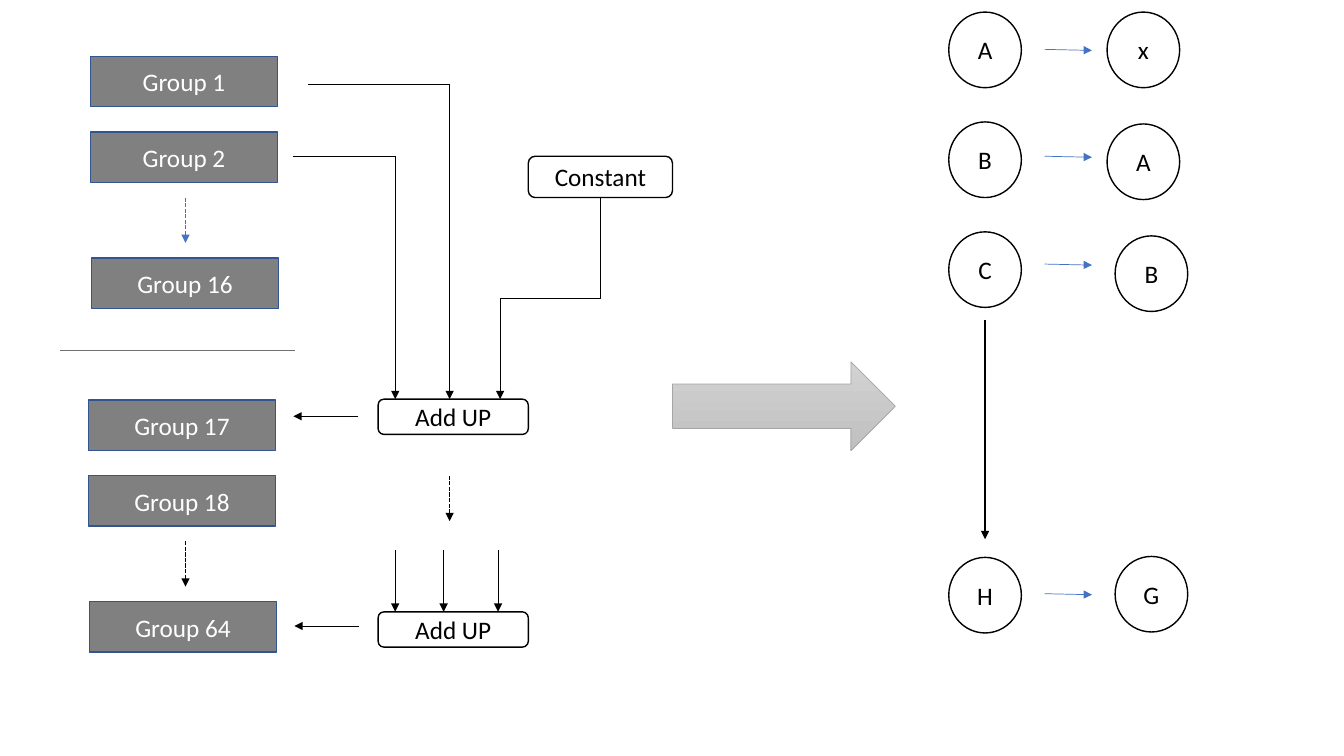
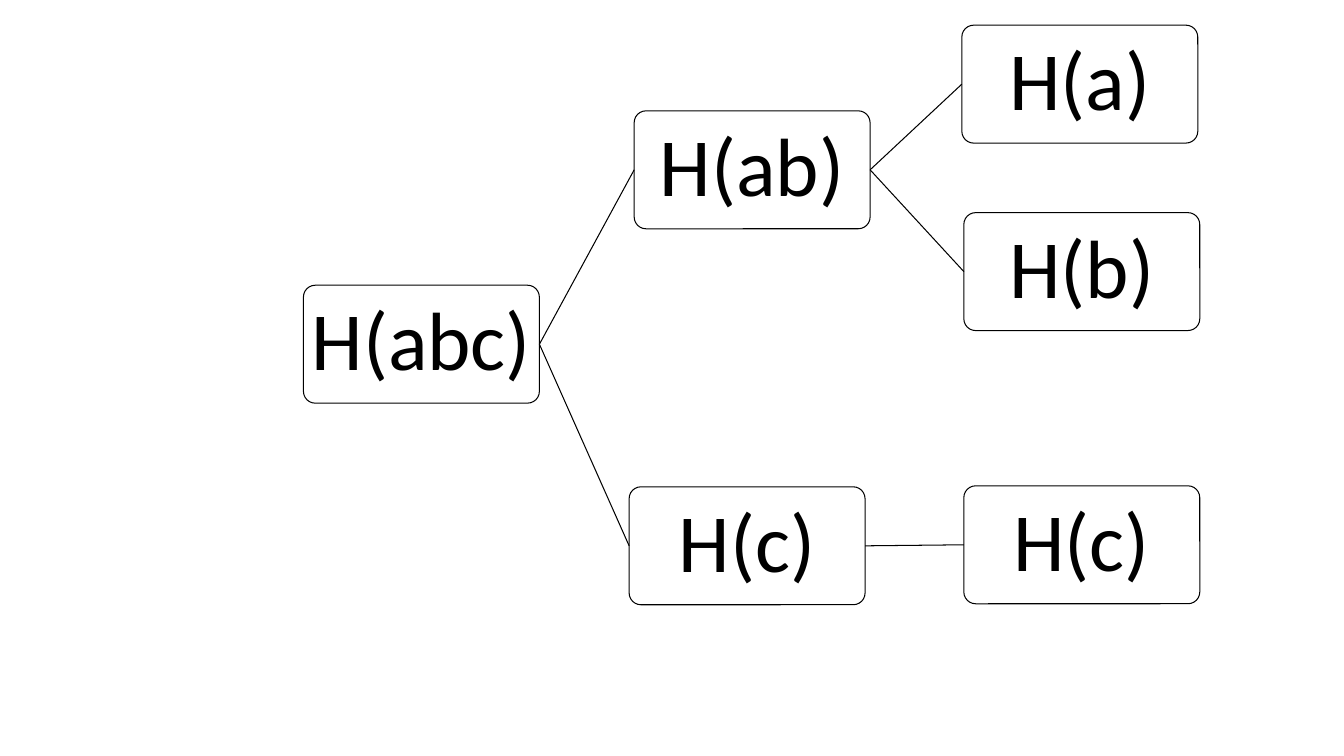
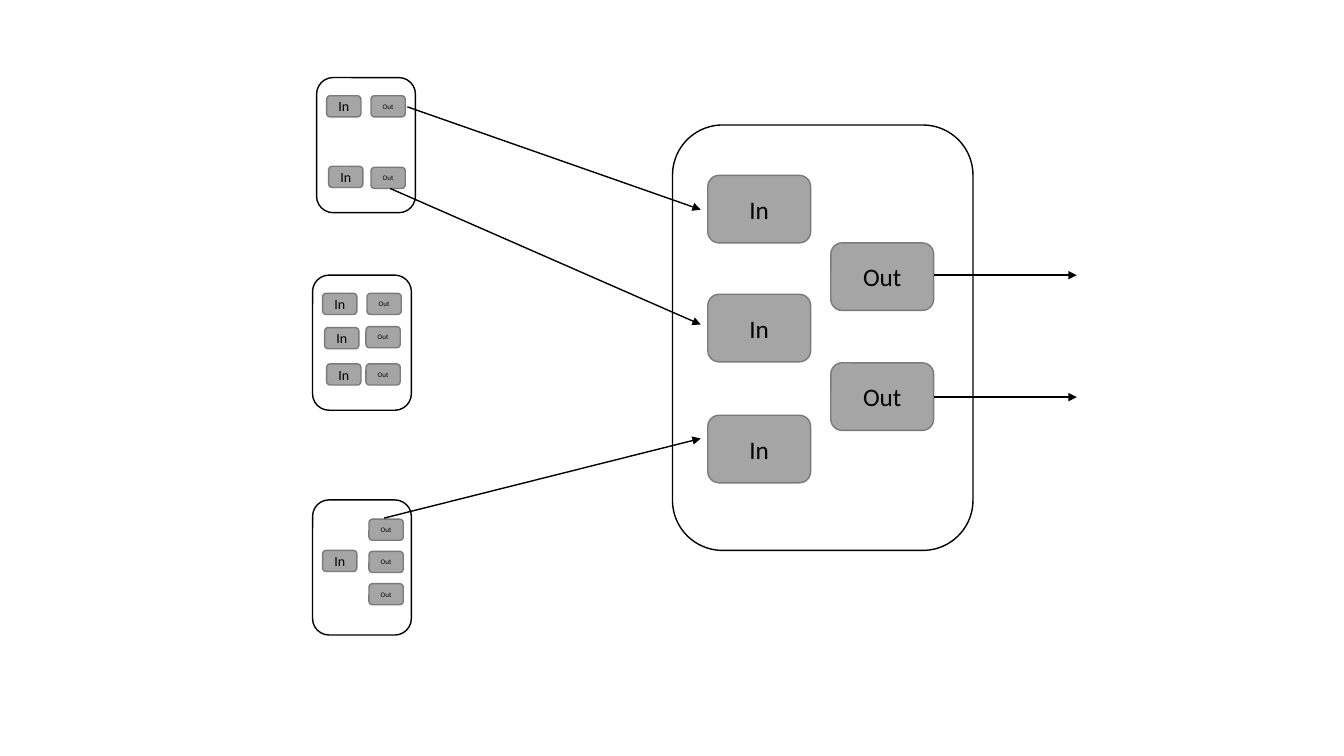
from lxml import etree
from pptx import Presentation
from pptx.dml.color import RGBColor
from pptx.enum.dml import MSO_LINE
from pptx.enum.shapes import MSO_CONNECTOR, MSO_SHAPE
from pptx.enum.text import MSO_ANCHOR, PP_ALIGN
from pptx.oxml.ns import qn
from pptx.util import Emu, Pt

PX = 9144  # EMU; 100 px to the inch
FONT = "Calibri"
COLORS = {
    "white": "FFFFFF", "black": "000000", "blue": "4472C4", "divider": "707070",
    "group": "808080", "group_edge": "325491",
    "port": "A5A5A5", "port_edge": "7A7A7A",
    "arrow_top": "D2D2D2", "arrow_bottom": "C0C0C0",
}
RIGHT_SITE, LEFT_SITE = 3, 1


def px(n):
    return Emu(int(n * PX))


def rgb(name):
    return RGBColor.from_string(COLORS[name])


def add_box(s, kind, x, y, w, h, text="", size=18, fill="white", edge="black",
            color="black", width=1):
    """Add an outlined shape with centred text; fill None leaves it empty."""
    sp = s.shapes.add_shape(kind, px(x), px(y), px(w), px(h))
    sp.shadow.inherit = False
    if fill:
        sp.fill.solid()
        sp.fill.fore_color.rgb = rgb(fill)
    else:
        sp.fill.background()
    sp.line.color.rgb = rgb(edge)
    sp.line.width = Pt(width)
    if text:
        tf = sp.text_frame
        tf.text = text
        tf.vertical_anchor = MSO_ANCHOR.MIDDLE
        p = tf.paragraphs[0]
        p.alignment = PP_ALIGN.CENTER
        r = p.runs[0]
        r.font.name = FONT
        r.font.size = Pt(size)
        r.font.color.rgb = rgb(color)
    return sp


def add_line(s, x1, y1, x2, y2, color="black", width=0.5, dashed=False,
             arrow=True, kind=MSO_CONNECTOR.STRAIGHT):
    line = s.shapes.add_connector(kind, px(x1), px(y1), px(x2), px(y2))
    line.line.color.rgb = rgb(color)
    line.line.width = Pt(width)
    if dashed:
        line.line.dash_style = MSO_LINE.SQUARE_DOT
    props = line.element.spPr
    if arrow:
        etree.SubElement(props.get_or_add_ln(), qn("a:tailEnd"), type="triangle")
    etree.SubElement(props, qn("a:effectLst"))
    return line


def add_elbow_down(s, x1, y1, x2, y2):
    """Arrow that goes down, then left, then down: an elbow turned by 90°."""
    w, h = y2 - y1, x1 - x2
    left, top = (x1 + x2 - w) / 2, (y1 + y2 - h) / 2
    line = add_line(s, left, top, left + w, top + h, kind=MSO_CONNECTOR.ELBOW)
    line.element.spPr.xfrm.set("rot", str(90 * 60000))


def group_stack(s, x, y, numbers, arrow_x, arrow_color):
    """Two groups, a dashed arrow and the last group of the run."""
    for number, dx, dy in zip(numbers, (0, 0, 1), (0, 75, 200)):
        add_box(s, MSO_SHAPE.RECTANGLE, x + dx, y + dy, 185, 50, f"Group {number}",
                fill="group", edge="group_edge", color="white")
    add_line(s, x + arrow_x, y + 140, x + arrow_x, y + 185, arrow_color, 1, dashed=True)


def adder(s, x, y, out_x, out_y):
    """Add-up box with its output arrow to the left."""
    add_box(s, MSO_SHAPE.ROUNDED_RECTANGLE, x, y, 149, 35, "Add UP")
    add_line(s, x + out_x, y + out_y, x + out_x - 64, y + out_y)


def adder_inputs(s, x, y):
    """Wires from groups 1 and 2 and the constant into the first adder."""
    for start, turn, top in ((14, 155, 0), (0, 101, 71)):
        add_line(s, x + start, y + top, x + turn, y + top, arrow=False)
        add_line(s, x + turn, y + top, x + turn, y + 312)
    add_box(s, MSO_SHAPE.ROUNDED_RECTANGLE, x + 233, y + 71, 143, 41, "Constant")
    add_elbow_down(s, x + 304, y + 112, x + 205, y + 312)


def block_arrow(s, x, y, w, h):
    sp = add_box(s, MSO_SHAPE.RIGHT_ARROW, x, y, w, h, edge="port", width=0.5)
    sp.fill.gradient()
    sp.fill.gradient_angle = 270
    for stop, name in zip(sp.fill.gradient_stops, ("arrow_top", "arrow_bottom")):
        stop.color.rgb = rgb(name)


def register_shift(s, x, y):
    """Pairs of circles, each showing a register and its new value."""
    rows = (("A", 0, "x", 157, 0, 37), ("B", 109, "A", 157, 111, 143),
            ("C", 218, "B", 165, 222, 250), ("H", 541, "G", 165, 540, 577))
    for old, old_y, new, new_x, new_y, arrow_y in rows:
        for text, dx, dy in ((old, 0, old_y), (new, new_x, new_y)):
            add_box(s, MSO_SHAPE.OVAL, x + dx, y + dy, 72, 75, text)
        add_line(s, x + 95, y + arrow_y, x + 142, y + arrow_y + 1, "blue")
    add_line(s, x + 36, y + 305, x + 36, y + 523, width=1)


def schedule_slide(s):
    group_stack(s, 90, 56, (1, 2, 16), 94, "blue")
    add_line(s, 60, 348, 293, 348, "divider", arrow=False)
    group_stack(s, 88, 397, (17, 18, 64), 96, "black")
    adder_inputs(s, 291, 84)
    adder(s, 375, 396, -20, 17)
    add_line(s, 446, 472, 446, 517, width=1, dashed=True)
    for x in (392, 440, 494):
        add_line(s, x, 546, x, 607)
    adder(s, 375, 607, -19, 14)
    block_arrow(s, 667, 359, 221, 88)
    register_shift(s, 941, 12)


def tree_node(s, x, y, text):
    sp = add_box(s, MSO_SHAPE.ROUNDED_RECTANGLE, x, y, 234, 117, text, size=59,
                 fill=None, width=0.75)
    sp.adjustments[0] = 0.1
    tf = sp.text_frame
    tf.margin_left = tf.margin_right = tf.margin_top = tf.margin_bottom = px(3)
    tf.paragraphs[0].line_spacing = 0.9
    return sp


def hash_tree(s, x, y):
    nodes = [tree_node(s, x + dx, y + dy, f"H({text})") for text, dx, dy in (
        ("abc", 0, 258), ("ab", 328, 85), ("a", 653, 0), ("b", 655, 186),
        ("c", 323, 458), ("c", 655, 457))]
    for parent, child in ((0, 1), (1, 2), (1, 3), (0, 4), (4, 5)):
        line = add_line(s, 0, 0, 0, 0, width=0.75, arrow=False)
        line.begin_connect(nodes[parent], RIGHT_SITE)
        line.end_connect(nodes[child], LEFT_SITE)


def transaction(s, box, port_size, ins, outs, in_pt, out_pt):
    """Rounded frame holding input and output ports, offset from its corner."""
    x, y, w, h = box
    add_box(s, MSO_SHAPE.ROUNDED_RECTANGLE, x, y, w, h)
    for text, spots, size in (("In", ins, in_pt), ("Out", outs, out_pt)):
        for dx, dy in spots:
            add_box(s, MSO_SHAPE.ROUNDED_RECTANGLE, x + dx, y + dy, *port_size,
                    text, size, "port", "port_edge")


def transaction_slide(s):
    transaction(s, (667, 124, 298, 422), (102, 67),
                ((35, 50), (35, 168), (35, 288)), ((157, 117), (157, 236)), 18, 18)
    sources = (
        (314, 77, ((10, 18), (12, 88)), ((54, 18), (54, 89))),
        (310, 273, ((10, 18), (12, 52), (14, 88)), ((54, 18), (53, 51), (53, 88))),
        (310, 496, ((10, 50),), ((56, 19), (56, 51), (56, 83))),
    )
    for x, y, ins, outs in sources:
        transaction(s, (x, y, 98, 134), (34, 21), ins, outs, 10, 5)
    for x1, y1, x2, y2 in ((404, 106, 695, 208), (387, 187, 695, 322),
                           (381, 514, 695, 435), (926, 273, 1068, 273),
                           (926, 394, 1068, 394)):
        add_line(s, x1, y1, x2, y2, width=1)


def main():
    prs = Presentation()
    prs.slide_width, prs.slide_height = px(1333), px(750)
    slides = [prs.slides.add_slide(prs.slide_layouts[6]) for _ in range(3)]
    schedule_slide(slides[0])
    hash_tree(slides[1], 301, 25)
    transaction_slide(slides[2])
    prs.save("out.pptx")


if __name__ == "__main__":
    main()
